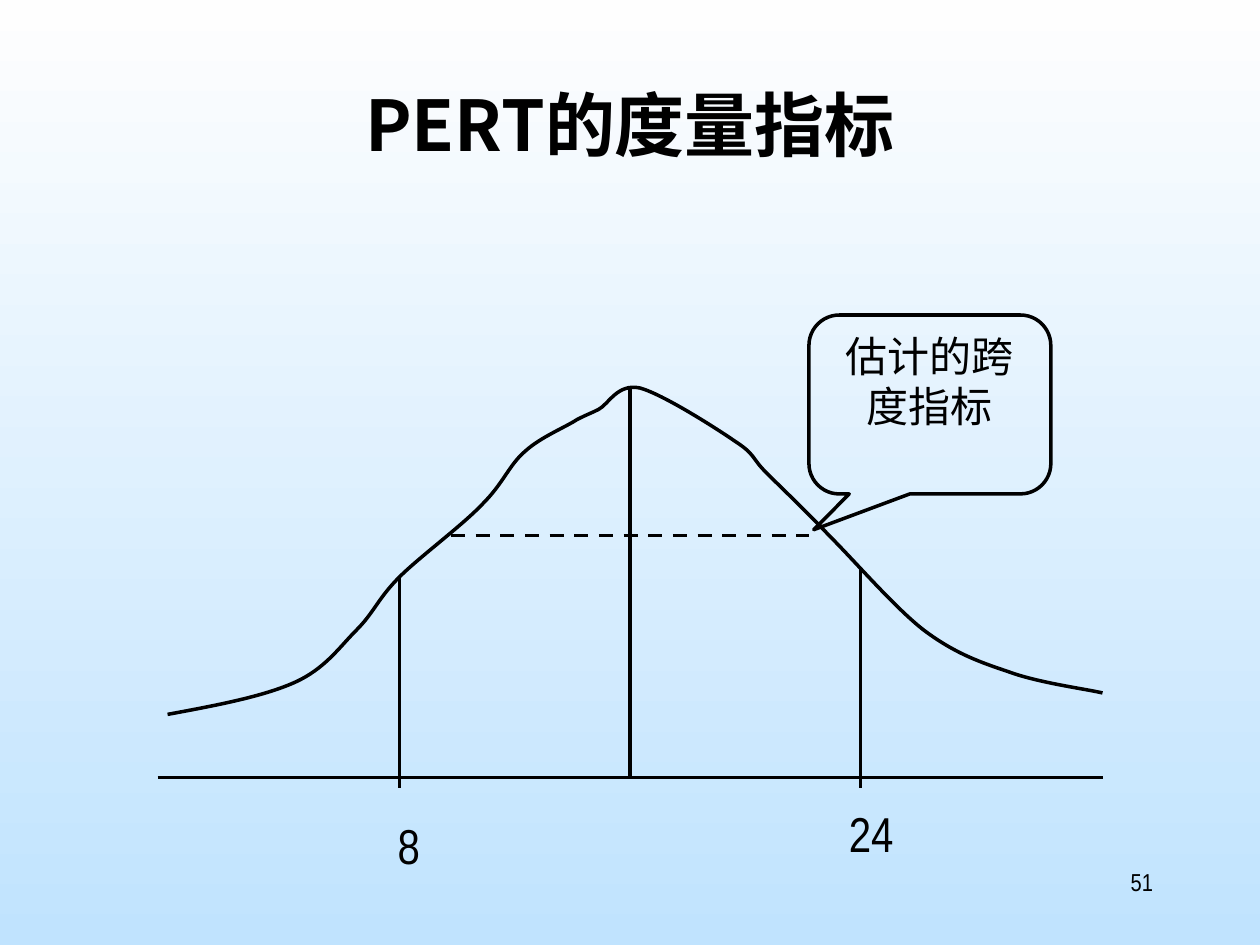
from pptx import Presentation
from pptx.dml.color import RGBColor
from pptx.enum.dml import MSO_LINE
from pptx.enum.shapes import MSO_CONNECTOR, MSO_SHAPE
from pptx.enum.text import MSO_ANCHOR, PP_ALIGN
from pptx.oxml.ns import qn
from pptx.util import Inches, Pt
from lxml import etree

CENTER, RIGHT = PP_ALIGN.CENTER, PP_ALIGN.RIGHT
TOP = MSO_ANCHOR.TOP
STRAIGHT = MSO_CONNECTOR.STRAIGHT
CALLOUT = MSO_SHAPE.ROUNDED_RECTANGULAR_CALLOUT
DASH = MSO_LINE.DASH

THEME = {
    "ink": RGBColor(0x00, 0x00, 0x00),
    "sky_top": RGBColor(0xFE, 0xFE, 0xFE),
    "sky_bottom": RGBColor(0xC0, 0xE3, 0xFE),
    "title_font": "Noto Sans CJK SC",
    "body_font": "Arial Narrow",
    "title": 40, "value": 28, "callout": 24, "number": 14,
    "line": 2,
}

# Content: places in inches
TITLE = "PERT的度量指标"
CALLOUT_TEXT = "估计的跨度指标"
BASE, TICK_END = 6.17, 6.25
LOW, MIDDLE, HIGH = 3.17, 5, 6.83
LINES = [  # start, end, dashed
    ((1.25, BASE), (8.75, BASE), False),
    ((MIDDLE, BASE), (MIDDLE, 3.08), False),
    ((LOW, 4.58), (LOW, TICK_END), False),
    ((HIGH, 4.5), (HIGH, TICK_END), False),
    ((3.58, 4.25), (6.42, 4.25), True),
]
LABELS = [  # text, place, size, alignment
    ("8", (2.83, 6.42, 0.83, 0.57), "value", CENTER),
    ("24", (6.5, 6.33, 0.83, 0.57), "value", CENTER),
    ("51", (7.17, 6.83, 2.08, 0.5), "number", RIGHT),
]
CURVE_START = (1.33, 5.67)
CURVE = [  # first control, second control, end
    ((1.71, 5.6), (2.08, 5.53), (2.33, 5.42)),
    ((2.58, 5.31), (2.69, 5.14), (2.83, 5)),
    ((2.97, 4.86), (3, 4.75), (3.17, 4.58)),
    ((3.33, 4.42), (3.67, 4.17), (3.83, 4)),
    ((4, 3.83), (4.04, 3.69), (4.17, 3.58)),
    ((4.29, 3.47), (4.49, 3.39), (4.58, 3.33)),
    ((4.68, 3.28), (4.67, 3.29), (4.75, 3.25)),
    ((4.83, 3.21), (4.9, 3.04), (5.08, 3.08)),
    ((5.26, 3.13), (5.67, 3.39), (5.83, 3.5)),
    ((6, 3.61), (5.96, 3.63), (6.08, 3.75)),
    ((6.21, 3.88), (6.38, 4.04), (6.58, 4.25)),
    ((6.79, 4.46), (7.1, 4.82), (7.33, 5)),
    ((7.57, 5.18), (7.76, 5.25), (8, 5.33)),
    ((8.24, 5.42), (8.63, 5.47), (8.75, 5.5)),
]


def inches(values):
    return [Inches(value) for value in values]


def write(shape, text, size, align, font="body_font", bold=False):
    frame = shape.text_frame
    frame.word_wrap = True
    frame.vertical_anchor = TOP
    frame.text = text
    para = frame.paragraphs[0]
    para.alignment = align
    para.font.name = THEME[font]
    para.font.size = Pt(THEME[size])
    para.font.bold = bold
    para.font.color.rgb = THEME["ink"]
    # East Asian characters take the same font
    latin = para._p.pPr.find(qn("a:defRPr")).find(qn("a:latin"))
    east_asian = etree.Element(qn("a:ea"), typeface=THEME[font])
    latin.addnext(east_asian)
    return para


def outline(shape):
    shape.line.color.rgb = THEME["ink"]
    shape.line.width = Pt(THEME["line"])


def add_line(slide, start, end, dashed):
    line = slide.shapes.add_connector(STRAIGHT, *inches(start + end))
    outline(line)
    if dashed:
        line.line.dash_style = DASH
    etree.SubElement(line._element.spPr, qn("a:effectLst"))


def add_curve(slide):
    builder = slide.shapes.build_freeform(*inches(CURVE_START), scale=1.0)
    points = [point for segment in CURVE for point in segment]
    builder.add_line_segments([inches(point) for point in points], close=False)
    curve = builder.convert_to_shape()
    # Turn every three straight steps into one cubic segment
    steps = list(curve._element.iter(qn("a:lnTo")))
    for first in range(0, len(steps), 3):
        cubic = etree.Element(qn("a:cubicBezTo"))
        steps[first].addprevious(cubic)
        for step in steps[first:first + 3]:
            cubic.append(step[0])
            step.getparent().remove(step)
    curve.fill.background()
    outline(curve)
    curve.shadow.inherit = False


def main():
    deck = Presentation()
    deck.slide_width, deck.slide_height = inches((10, 7.5))
    slide = deck.slides.add_slide(deck.slide_layouts[5])

    # Background, light at the top
    fill = slide.background.fill
    fill.gradient()
    fill.gradient_angle = 270
    for stop, position, shade in zip(fill.gradient_stops, (0, 1), ("sky_top", "sky_bottom")):
        stop.position = position
        stop.color.rgb = THEME[shade]

    # Title
    title = slide.shapes.title
    title.left, title.top, title.width, title.height = inches((0.75, 0.67, 8.5, 1.25))
    para = write(title, TITLE, "title", CENTER, "title_font", bold=True)
    para.line_spacing = 0.9

    # Estimate curve with its axis and markers
    add_curve(slide)
    for start, end, dashed in LINES:
        add_line(slide, start, end, dashed)

    # Callout
    callout = slide.shapes.add_shape(CALLOUT, *inches((6.42, 2.5, 1.92, 1.42)))
    for index, value in enumerate((-0.48, 0.7, 0.17)):
        callout.adjustments[index] = value
    callout.fill.background()
    outline(callout)
    callout.shadow.inherit = False
    write(callout, CALLOUT_TEXT, "callout", CENTER)

    # Axis values and page number
    for text, place, size, align in LABELS:
        box = slide.shapes.add_textbox(*inches(place))
        write(box, text, size, align)

    deck.save("out.pptx")


if __name__ == "__main__":
    main()
